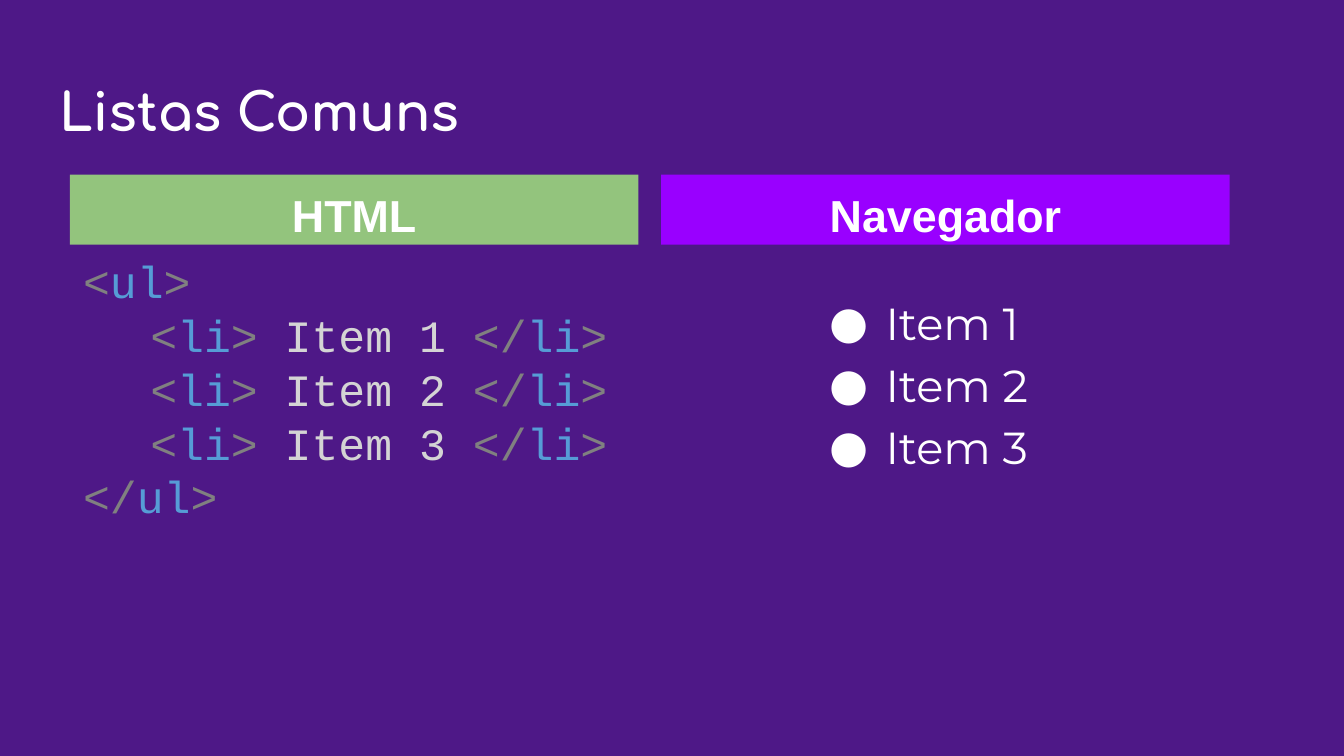
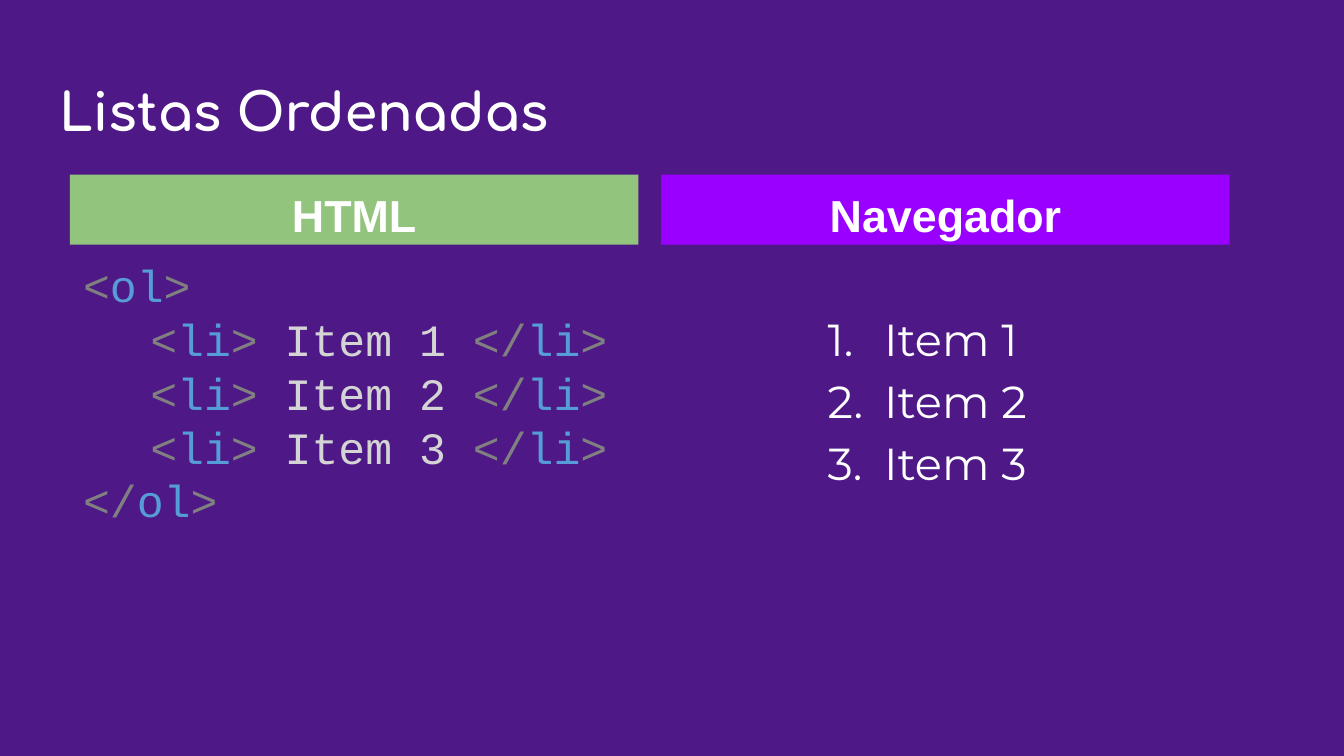
from dataclasses import dataclass

from lxml import etree
from pptx import Presentation
from pptx.dml.color import RGBColor
from pptx.enum.shapes import MSO_SHAPE
from pptx.enum.text import MSO_ANCHOR, MSO_AUTO_SIZE, PP_ALIGN
from pptx.oxml.ns import qn
from pptx.util import Inches, Pt

RECT = MSO_SHAPE.RECTANGLE
TOP = MSO_ANCHOR.TOP
NO_AUTOFIT = MSO_AUTO_SIZE.NONE
LEFT, CENTER = PP_ALIGN.LEFT, PP_ALIGN.CENTER

PURPLE = RGBColor(0x4E, 0x18, 0x87)
GREEN = RGBColor(0x93, 0xC4, 0x7D)
VIOLET = RGBColor(0x99, 0x00, 0xFF)
WHITE = RGBColor(0xFF, 0xFF, 0xFF)
BRACKET = RGBColor(0x80, 0x80, 0x80)
TAG = RGBColor(0x56, 0x9C, 0xD6)
PLAIN = RGBColor(0xD4, 0xD4, 0xD4)

TITLE_FONT = {"name": "Comfortaa", "size": Pt(28), "bold": True}
HEADER_FONT = {"name": "Arial", "size": Pt(24), "bold": True}
CODE_FONT = {"name": "Courier New", "size": Pt(24)}
ITEM_FONT = {"name": "Montserrat", "size": Pt(24)}

SLIDE_WIDTH = Inches(10)
SLIDE_HEIGHT = SLIDE_WIDTH * 9 // 16
ITEMS = ("Item 1", "Item 2", "Item 3")
COLUMN_LEFT, COLUMN_WIDTH, COLUMN_GAP = 0.52, 4.23, 0.17
ITEM_LINE_SPACING = 1.15


@dataclass(frozen=True)
class Box:
    left: float
    top: float
    width: float
    height: float

    def lengths(self):
        return [Inches(v) for v in (self.left, self.top, self.width, self.height)]


@dataclass(frozen=True)
class Header:
    text: str
    fill: RGBColor


@dataclass(frozen=True)
class ListSlide:
    title: str
    tag: str
    code_box: Box
    result_box: Box
    bullet: tuple[str, dict[str, str]]


TITLE_BOX = Box(0.34, 0.49, 9.32, 0.63)
HEADERS = (Header("HTML", GREEN), Header("Navegador", VIOLET))
SLIDES = (
    ListSlide("Listas Comuns", "ul",
              Box(COLUMN_LEFT, 1.79, COLUMN_WIDTH, 2.15),
              Box(5.99, 2.04, 2.19, 1.65),
              ("a:buChar", {"char": "●"})),
    ListSlide("Listas Ordenadas", "ol",
              Box(COLUMN_LEFT, 1.82, COLUMN_WIDTH, 2.33),
              Box(5.98, 2.16, 2.12, 1.65),
              ("a:buAutoNum", {"type": "arabicPeriod"})),
)


def set_frame(tf) -> None:
    values = {"word_wrap": True, "auto_size": NO_AUTOFIT, "vertical_anchor": TOP}
    for side in ("left", "top", "right", "bottom"):
        values[f"margin_{side}"] = Inches(0.1)
    for name, value in values.items():
        setattr(tf, name, value)


def add_run(p, text: str, font: dict, color: RGBColor) -> None:
    r = p.add_run()
    r.text = text
    for name, value in font.items():
        setattr(r.font, name, value)
    r.font.color.rgb = color


def next_paragraph(tf, index: int):
    """Return the first paragraph for index 0, a new one otherwise."""
    return tf.paragraphs[0] if index == 0 else tf.add_paragraph()


def set_indent(p, margin: float, indent: float):
    pPr = p._p.get_or_add_pPr()
    pPr.set("marL", str(Inches(margin)))
    pPr.set("indent", str(Inches(indent)))
    return pPr


def add_text_box(slide, box: Box):
    tf = slide.shapes.add_textbox(*box.lengths()).text_frame
    set_frame(tf)
    return tf


def add_title(slide, text: str) -> None:
    sp = slide.shapes.title
    sp.left, sp.top, sp.width, sp.height = TITLE_BOX.lengths()
    set_frame(sp.text_frame)
    p = sp.text_frame.paragraphs[0]
    p.alignment = LEFT
    add_run(p, text, TITLE_FONT, WHITE)


def add_headers(slide) -> None:
    for i, header in enumerate(HEADERS):
        left = COLUMN_LEFT + i * (COLUMN_WIDTH + COLUMN_GAP)
        box = Box(left, 1.3, COLUMN_WIDTH, 0.52)
        sp = slide.shapes.add_shape(RECT, *box.lengths())
        sp.shadow.inherit = False
        sp.fill.solid()
        sp.fill.fore_color.rgb = header.fill
        sp.line.fill.background()
        set_frame(sp.text_frame)
        p = sp.text_frame.paragraphs[0]
        p.alignment = CENTER
        add_run(p, header.text, HEADER_FONT, WHITE)


def tag_runs(opening: str, tag: str, closing: str) -> list[tuple[str, RGBColor]]:
    return [(opening, BRACKET), (tag, TAG), (closing, BRACKET)]


def add_code(slide, box: Box, tag: str) -> None:
    """Write the HTML list with coloured syntax."""
    items = [tag_runs("<", "li", "> ") + [(f"{item} ", PLAIN)] + tag_runs("</", "li", ">")
             for item in ITEMS]
    lines = [tag_runs("<", tag, ">"), *items, tag_runs("</", tag, ">")]
    tf = add_text_box(slide, box)
    for i, line in enumerate(lines):
        p = next_paragraph(tf, i)
        if line in items:
            set_indent(p, 0, 0.5)
        for text, color in line:
            add_run(p, text, CODE_FONT, color)


def add_result(slide, box: Box, bullet: tuple[str, dict[str, str]]) -> None:
    """Write the list as a browser shows it."""
    tf = add_text_box(slide, box)
    for i, item in enumerate(ITEMS):
        p = next_paragraph(tf, i)
        p.line_spacing = ITEM_LINE_SPACING
        pPr = set_indent(p, 0.5, -0.42)
        bullet_color = etree.SubElement(pPr, qn("a:buClr"))
        etree.SubElement(bullet_color, qn("a:srgbClr"), val=str(WHITE))
        etree.SubElement(pPr, qn("a:buFont"), typeface=ITEM_FONT["name"])
        name, attributes = bullet
        etree.SubElement(pPr, qn(name), attributes)
        add_run(p, item, ITEM_FONT, WHITE)


def main() -> None:
    prs = Presentation()
    prs.slide_width, prs.slide_height = SLIDE_WIDTH, SLIDE_HEIGHT
    background = prs.slide_master.background.fill
    background.solid()
    background.fore_color.rgb = PURPLE
    title_only = prs.slide_layouts.get_by_name("Title Only")
    for content in SLIDES:
        slide = prs.slides.add_slide(title_only)
        add_title(slide, content.title)
        add_headers(slide)
        add_code(slide, content.code_box, content.tag)
        add_result(slide, content.result_box, content.bullet)
    prs.save("out.pptx")


if __name__ == "__main__":
    main()
